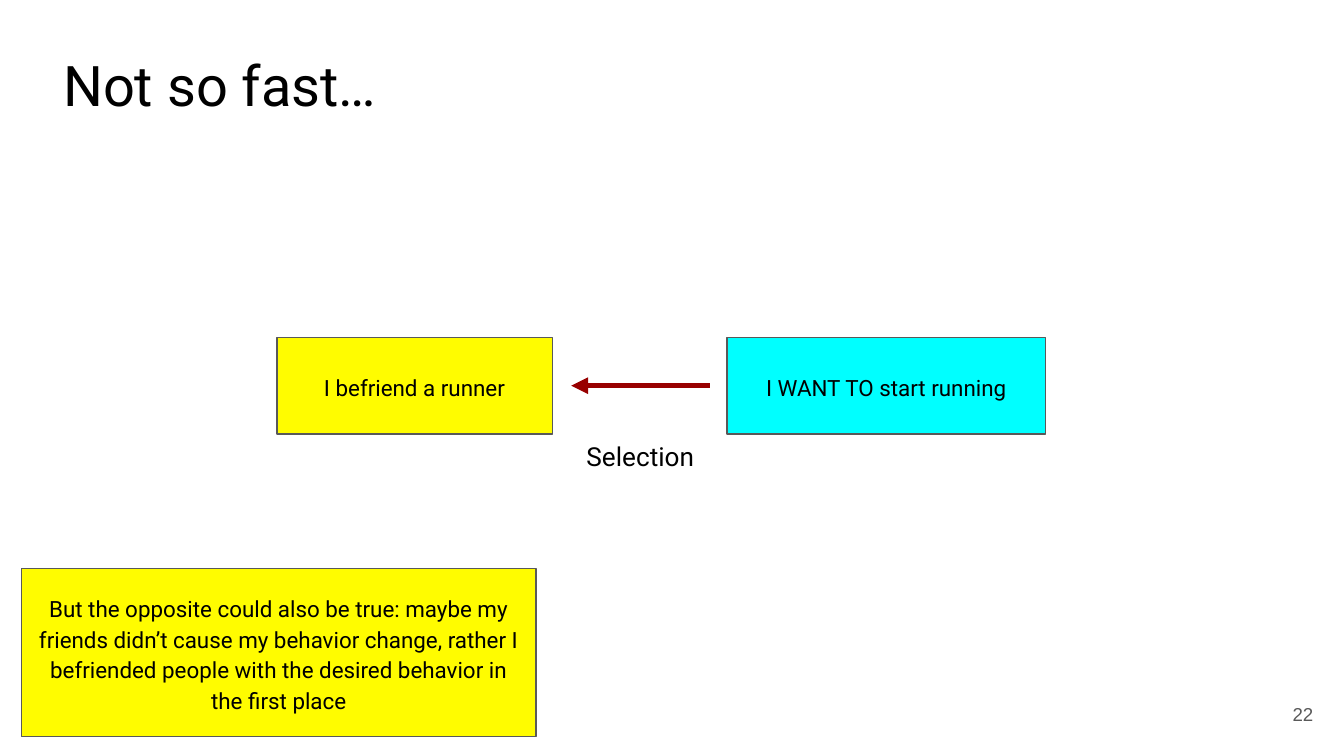
from dataclasses import dataclass

from lxml.etree import SubElement
from pptx import Presentation
from pptx.dml.color import RGBColor
from pptx.enum.shapes import MSO_CONNECTOR, MSO_SHAPE
from pptx.enum.text import MSO_ANCHOR, PP_ALIGN
from pptx.oxml.ns import qn
from pptx.util import Inches, Pt


@dataclass(frozen=True)
class Theme:
    font: str = "Roboto"
    number_font: str = "Arial"
    text: str = "000000"
    outline: str = "595959"
    friend: str = "FFFC00"
    running: str = "00FFFF"
    arrow: str = "980000"
    title_size: int = 30
    label_size: int = 14
    box_size: int = 12
    number_size: int = 10


THEME = Theme()


def rgb(value):
    return RGBColor.from_string(value)


def set_text(shape, text, size, font=THEME.font, color=THEME.text, align=PP_ALIGN.CENTER,
             anchor=MSO_ANCHOR.TOP, inset=0.1, line_spacing=1.0):
    frame = shape.text_frame
    frame.word_wrap = True
    frame.vertical_anchor = anchor
    frame.margin_left = frame.margin_right = Inches(inset)
    frame.margin_top = frame.margin_bottom = Inches(inset)
    paragraph = frame.paragraphs[0]
    paragraph.alignment = align
    paragraph.line_spacing = line_spacing
    run = paragraph.add_run()
    run.text = text
    run.font.name = font
    run.font.size = Pt(size)
    run.font.color.rgb = rgb(color)


def add_title(slide, text, left, top, width, height):
    title = slide.shapes.title
    title.left, title.top = Inches(left), Inches(top)
    title.width, title.height = Inches(width), Inches(height)
    set_text(title, text, THEME.title_size, align=PP_ALIGN.LEFT, inset=0, line_spacing=0.8)


def add_box(slide, text, fill, left, top, width, height):
    box = slide.shapes.add_shape(MSO_SHAPE.RECTANGLE, Inches(left), Inches(top),
                                 Inches(width), Inches(height))
    box.shadow.inherit = False
    box.fill.solid()
    box.fill.fore_color.rgb = rgb(fill)
    box.line.color.rgb = rgb(THEME.outline)
    box.line.width = Pt(0.75)
    set_text(box, text, THEME.box_size, anchor=MSO_ANCHOR.MIDDLE, line_spacing=1.15)


def add_label(slide, text, left, top, width, height, **text_format):
    label = slide.shapes.add_textbox(Inches(left), Inches(top), Inches(width), Inches(height))
    set_text(label, text, **text_format)


def add_arrow(slide, start, end, y):
    """Draw a horizontal arrow pointing at end."""
    arrow = slide.shapes.add_connector(MSO_CONNECTOR.STRAIGHT, Inches(start), Inches(y),
                                       Inches(end), Inches(y))
    arrow.line.color.rgb = rgb(THEME.arrow)
    arrow.line.width = Pt(3)
    line = arrow._element.spPr.find(qn("a:ln"))
    SubElement(line, qn("a:tailEnd"), type="triangle")
    SubElement(arrow._element.spPr, qn("a:effectLst"))


def main():
    presentation = Presentation()
    presentation.slide_width = Inches(10)
    presentation.slide_height = Inches(10 * 9 / 16)
    slide = presentation.slides.add_slide(presentation.slide_layouts[5])

    add_title(slide, "Not so fast…", 0.47, 0.47, 9.5, 0.54)

    row_top, row_height = 2.51, 0.72
    add_box(slide, "I WANT TO start running", THEME.running, 5.41, row_top, 2.37, row_height)
    add_box(slide, "I befriend a runner", THEME.friend, 2.06, row_top, 2.05, row_height)
    add_arrow(slide, 5.28, 4.25, row_top + row_height / 2)
    add_label(slide, "Selection", 3.9, 3.18, 1.73, 0.72, size=THEME.label_size)

    add_box(slide, "But the opposite could also be true: maybe my friends didn’t cause my "
            "behavior change, rather I befriended people with the desired behavior in the "
            "first place", THEME.friend, 0.16, 4.23, 3.83, 1.25)
    add_label(slide, "22", 9.27, 5.1, 0.6, 0.43, size=THEME.number_size,
              font=THEME.number_font, color=THEME.outline, align=PP_ALIGN.RIGHT,
              anchor=MSO_ANCHOR.MIDDLE)

    presentation.save("out.pptx")


if __name__ == "__main__":
    main()
